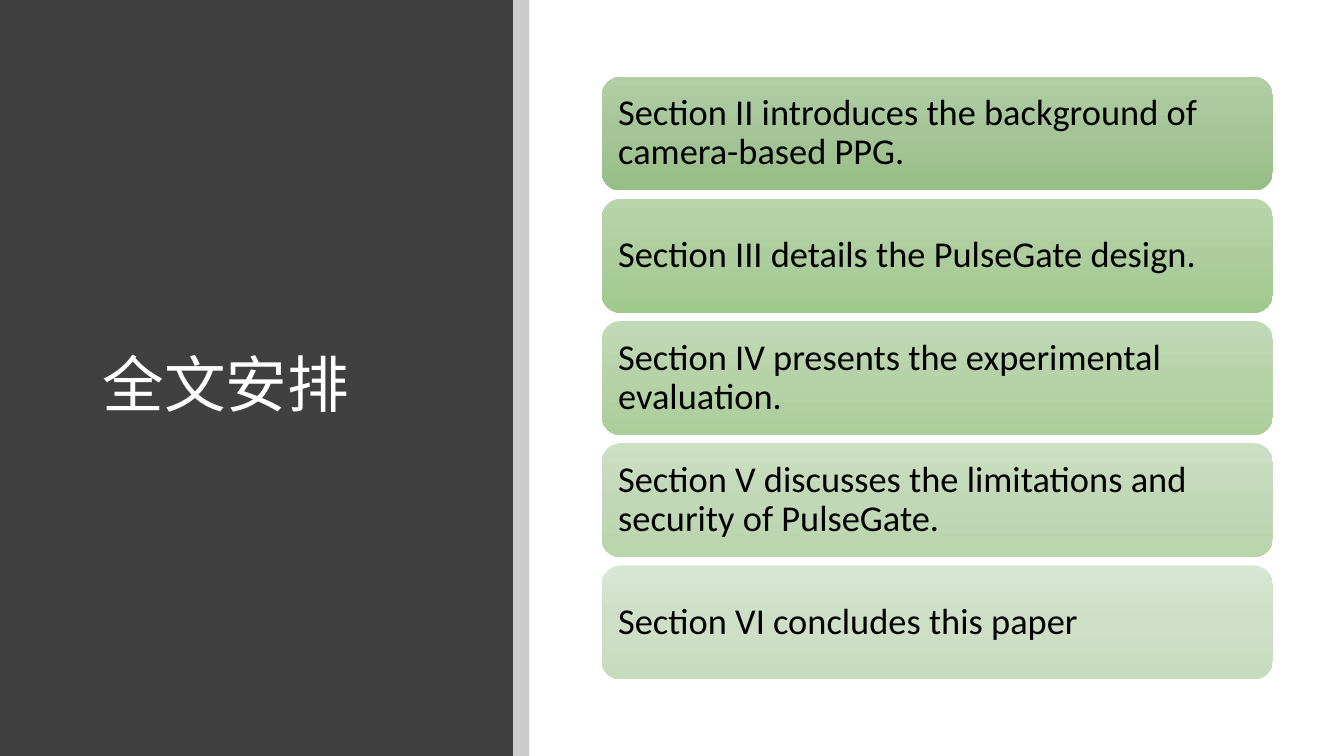
from copy import deepcopy

from lxml import etree
from pptx import Presentation
from pptx.dml.color import RGBColor
from pptx.enum.shapes import MSO_SHAPE
from pptx.enum.text import MSO_ANCHOR, PP_ALIGN
from pptx.oxml.ns import qn
from pptx.util import Cm, Pt

RECTANGLE = MSO_SHAPE.RECTANGLE
ROUNDED = MSO_SHAPE.ROUNDED_RECTANGLE
MIDDLE = MSO_ANCHOR.MIDDLE
LEFT = PP_ALIGN.LEFT

FONT = "Calibri"
COLORS = {"panel": "404040", "stripe": "000000", "title": "FFFFFF", "text": "000000"}
PAGE_WIDTH, PAGE_HEIGHT = 33.87, 19.05
PANEL_WIDTH, STRIPE_WIDTH = 12.93, 0.41
CARD_LEFT, CARD_TOP, CARD_WIDTH, CARD_HEIGHT = 15.16, 1.93, 16.92, 2.87
CARD_PITCH = 3.08
CARD_INSET = 0.28

# Each section: sentence, then gradient colours from top to bottom
SECTIONS = [
    ("Section II introduces the background of camera-based PPG.",
     ("B1CEA4", "A5C498", "96BE85")),
    ("Section III details the PulseGate design.",
     ("B8D5AB", "ADCD9E", "A0C98C")),
    ("Section IV presents the experimental evaluation.",
     ("C1DAB6", "B6D2A9", "ABCE9B")),
    ("Section V discusses the limitations and security of PulseGate.",
     ("CCDFC3", "C1D8B7", "B9D5AC")),
    ("Section VI concludes this paper",
     ("D8E6D2", "CEDFC6", "C7DCBE")),
]


def add_plain_shape(page, kind, left, top, width, height):
    shape = page.shapes.add_shape(kind, Cm(left), Cm(top), Cm(width), Cm(height))
    shape.shadow.inherit = False
    shape.line.fill.background()
    return shape


def add_band(page, left, width, color, opacity=100):
    """Add a full-height bar; opacity is a percentage."""
    band = add_plain_shape(page, RECTANGLE, left, 0, width, PAGE_HEIGHT)
    band.fill.solid()
    band.fill.fore_color.rgb = RGBColor.from_string(color)
    if opacity < 100:
        tint = band._element.spPr.find(f"{qn('a:solidFill')}/{qn('a:srgbClr')}")
        etree.SubElement(tint, qn("a:alpha"), val=str(opacity * 1000))


def write_text(frame, text, size, color):
    frame.word_wrap = True
    frame.vertical_anchor = MIDDLE
    para = frame.paragraphs[0]
    para.alignment = LEFT
    para.line_spacing = 0.9
    span = para.add_run()
    span.text = text
    span.font.name = FONT
    span.font.size = Pt(size)
    span.font.color.rgb = RGBColor.from_string(color)


def fill_downward(shape, colors):
    """Fill with a three-colour gradient running from top to bottom."""
    fill = shape.fill
    fill.gradient()
    fill.gradient_angle = 270
    stop_list = shape._element.spPr.find(f"{qn('a:gradFill')}/{qn('a:gsLst')}")
    stop_list.insert(1, deepcopy(stop_list[0]))
    for stop, color, position in zip(fill.gradient_stops, colors, (0, 0.5, 1)):
        stop.color.rgb = RGBColor.from_string(color)
        stop.position = position


def add_title(page, text):
    box = page.shapes.add_textbox(Cm(2.34), Cm(2.26), Cm(9.27), Cm(15.01))
    write_text(box.text_frame, text, 44, COLORS["title"])


def add_card(page, top, text, colors):
    card = add_plain_shape(page, ROUNDED, CARD_LEFT, top, CARD_WIDTH, CARD_HEIGHT)
    fill_downward(card, colors)
    frame = card.text_frame
    frame.margin_left = frame.margin_right = Cm(CARD_INSET)
    frame.margin_top = frame.margin_bottom = Cm(CARD_INSET)
    write_text(frame, text, 26, COLORS["text"])


def main():
    deck = Presentation()
    deck.slide_width, deck.slide_height = Cm(PAGE_WIDTH), Cm(PAGE_HEIGHT)
    page = deck.slides.add_slide(deck.slide_layouts[6])
    add_band(page, 0, PANEL_WIDTH, COLORS["panel"])
    add_band(page, PANEL_WIDTH, STRIPE_WIDTH, COLORS["stripe"], opacity=20)
    add_title(page, "全文安排")
    for index, (text, colors) in enumerate(SECTIONS):
        add_card(page, CARD_TOP + index * CARD_PITCH, text, colors)
    deck.save("out.pptx")


if __name__ == "__main__":
    main()
